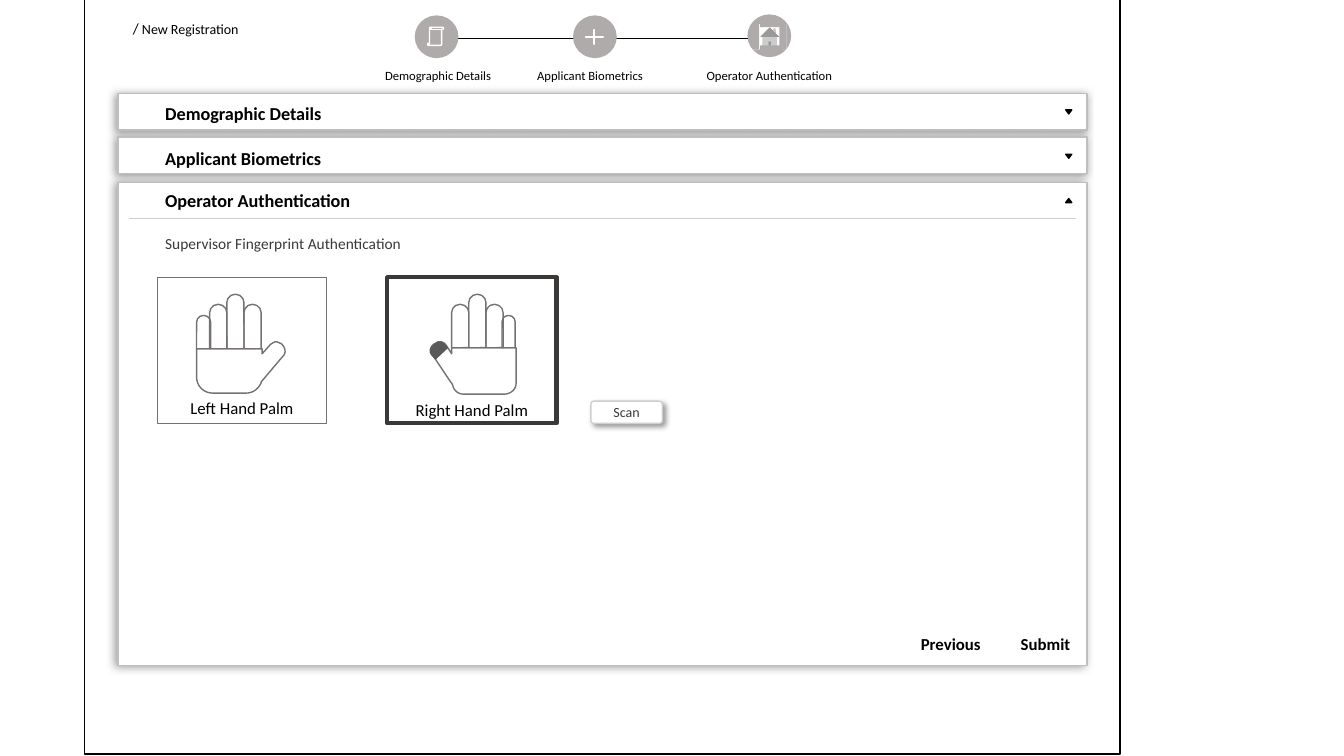
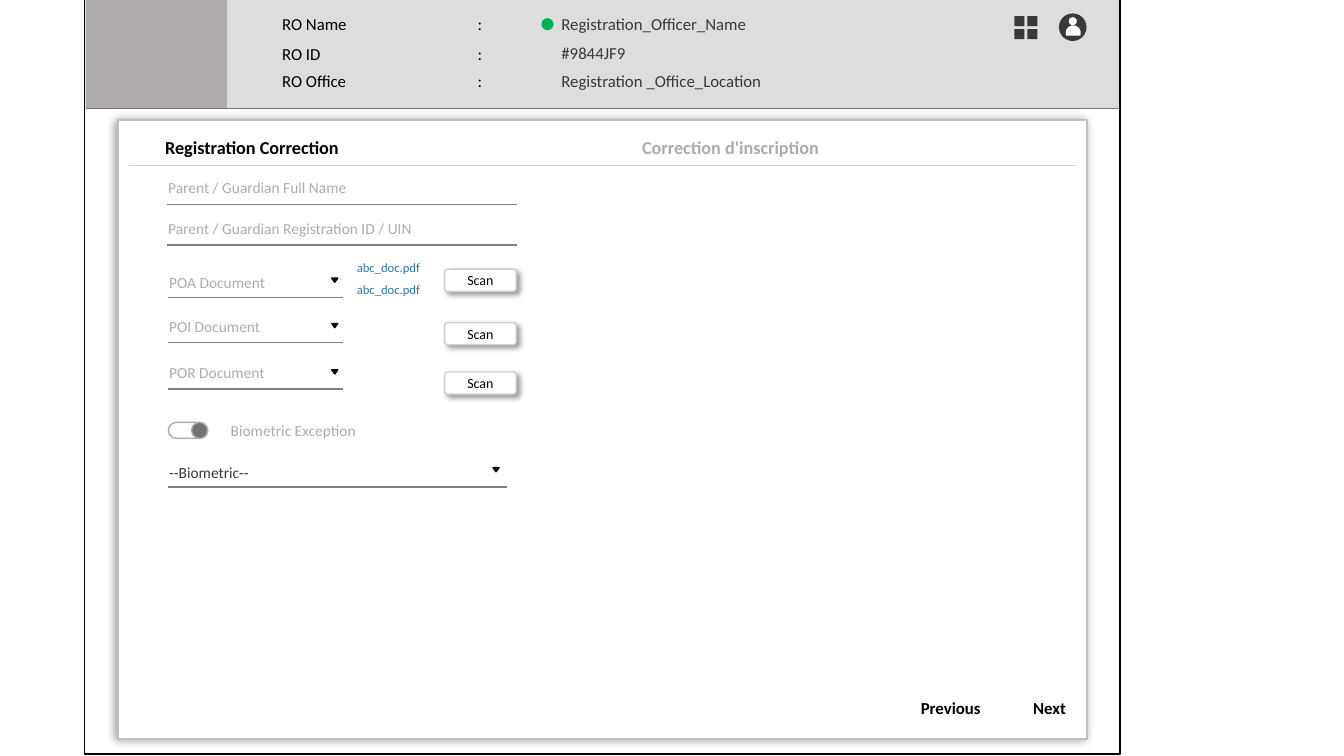
import pptx
import pptx.dml.color
import pptx.enum.shapes
import pptx.enum.text
import pptx.oxml.ns
import pptx.util
from lxml import etree

Inches = pptx.util.Inches
SHAPE = pptx.enum.shapes.MSO_SHAPE
ALIGN = pptx.enum.text.PP_ALIGN
qn = pptx.oxml.ns.qn

# Shared style
FONT = "Calibri"
BLACK, WHITE, INK = "000000", "FFFFFF", "3B3838"
GREY, DARK_GREY, RULE_GREY = "AFABAB", "767171", "D0CECE"
FIELD_GREY, BLUE, GREEN = "808080", "2E75B6", "00B050"
PANEL_SHADOW = ("808080", 80, 6, 2, 170)  # colour, opacity %, blur, distance, angle
BUTTON_SHADOW = (BLACK, 40, 4, 3, 45)
PANEL_LEFT, PANEL_WIDTH = 1.17, 9.61
TITLE_LEFT = 1.54

# Registration content: title, panel top, panel height, title top, arrow top, open
SECTIONS = [
    ("Demographic Details", 0.93, 0.36, 0.97, 1.09, False),
    ("Applicant Biometrics", 1.36, 0.36, 1.41, 1.53, False),
    ("Operator Authentication", 1.81, 4.79, 1.83, 1.97, True),
]
# Step label, label left, label width, circle left, circle top
STEPS = [
    ("Demographic Details", 3.72, 1.31, 4.12, 0.16),
    ("Applicant Biometrics", 5.23, 1.33, 5.69, 0.16),
    ("Operator Authentication", 6.91, 1.46, 7.42, 0.15),
]
STEP_SIZE = 0.42
# Sides of the home button covered so that only the house stays visible
HOME_COVERS = [(7.47, 0.24, 0.06, 0.25), (7.73, 0.24, 0.07, 0.25),
               (7.54, 0.45, 0.23, 0.05), (7.54, 0.22, 0.23, 0.05)]

# Fingers are (left, top, width); palm steps are line ends or cubic curves
HANDS = [
    dict(label="Left Hand Palm", left=1.56, label_top=3.9, border=(DARK_GREY, 1),
         knuckles=3.46,
         fingers=[(1.95, 3.13, 0.14), (2.08, 3.02, 0.17), (2.25, 2.92, 0.17), (2.42, 3.02, 0.17)],
         palm=[(2.73, 3.39), (2.75, 3.39, 2.77, 3.4, 2.79, 3.41), (2.8, 3.42),
               (2.83, 3.45, 2.84, 3.5, 2.81, 3.53), (2.59, 3.79), (2.59, 3.8),
               (2.56, 3.86, 2.51, 3.9, 2.44, 3.9), (2.11, 3.9),
               (2.02, 3.9, 1.95, 3.83, 1.95, 3.74), (1.95, 3.46), (2.6, 3.46),
               (2.6, 3.51), (2.68, 3.42), (2.69, 3.41, 2.71, 3.4, 2.73, 3.39)]),
    dict(label="Right Hand Palm", left=3.84, label_top=3.92, border=(INK, 3),
         knuckles=3.45, marked_thumb=(4.26, 3.41, 0.16, 0.11),
         fingers=[(4.48, 3.02, 0.17), (4.65, 2.92, 0.17), (4.82, 3.02, 0.17), (4.98, 3.13, 0.13)],
         palm=[(4.36, 3.39), (4.39, 3.39, 4.41, 3.4, 4.43, 3.43), (4.48, 3.51),
               (4.48, 3.45), (5.12, 3.45), (5.12, 3.8),
               (5.12, 3.86, 5.07, 3.91, 5, 3.91), (4.6, 3.91),
               (4.54, 3.91, 4.5, 3.87, 4.49, 3.82), (4.48, 3.8), (4.47, 3.79),
               (4.29, 3.52), (4.26, 3.48, 4.27, 3.43, 4.31, 3.41), (4.32, 3.41),
               (4.33, 3.4, 4.34, 3.39, 4.36, 3.39)]),
]

# Correction content
OFFICER = [  # label, label top, value, value top
    ("RO Name", 0.09, "Registration_Officer_Name", 0.09),
    ("RO ID", 0.38, "#9844JF9", 0.37),
    ("RO Office", 0.65, "Registration _Office_Location", 0.65),
]
CORRECTION_TITLES = [("Registration Correction", TITLE_LEFT, BLACK),
                     ("Correction d'inscription", 6.27, GREY)]
# Field text, text top, left, right, underline, arrow (left, top), colour
FIELDS = [
    ("Parent / Guardian Full Name", 1.72, 1.66, 5.13, 2.03, None, GREY),
    ("Parent / Guardian Registration ID / UIN", 2.12, 1.66, 5.13, 2.43, None, GREY),
    ("POA Document", 2.66, 1.67, 3.4, 2.95, (3.29, 2.76), GREY),
    ("POI Document", 3.1, 1.67, 3.4, 3.4, (3.29, 3.21), GREY),
    ("POR Document", 3.55, 1.67, 3.4, 3.86, (3.29, 3.67), GREY),
    ("--Biometric--", 4.54, 1.67, 5.03, 4.83, (4.89, 4.64), INK),
]
SCAN_TOPS = [2.67, 3.2, 3.69]
ATTACHMENTS = [("abc_doc.pdf", 2.53), ("abc_doc.pdf", 2.75)]


def rgb(colour):
    return pptx.dml.color.RGBColor.from_string(colour)


def style(shape, fill=None, line=None, shadow=None):
    if fill:
        shape.fill.solid()
        shape.fill.fore_color.rgb = rgb(fill)
    else:
        shape.fill.background()
    if line:
        shape.line.color.rgb = rgb(line[0])
        shape.line.width = pptx.util.Pt(line[1])
    else:
        shape.line.fill.background()
    shape.shadow.inherit = False
    if shadow:
        colour, opacity, blur, distance, angle = shadow
        effects = shape._element.spPr.find(qn("a:effectLst"))
        outer = etree.SubElement(
            effects, qn("a:outerShdw"), blurRad=str(pptx.util.Pt(blur)),
            dist=str(pptx.util.Pt(distance)), dir=str(angle * 60000),
            algn="ctr", rotWithShape="0")
        tint = etree.SubElement(outer, qn("a:srgbClr"), val=colour)
        etree.SubElement(tint, qn("a:alpha"), val=str(opacity * 1000))


def add_shape(shapes, kind, box, fill=None, line=None, shadow=None, adjust=(), rotation=0):
    shape = shapes.add_shape(kind, *map(Inches, box))
    for index, value in enumerate(adjust):
        shape.adjustments[index] = value
    shape.rotation = rotation
    style(shape, fill, line, shadow)
    return shape


def add_line(shapes, x1, y1, x2, y2, colour, width=0.5):
    line = shapes.add_connector(pptx.enum.shapes.MSO_CONNECTOR.STRAIGHT,
                                *map(Inches, (x1, y1, x2, y2)))
    line.line.color.rgb = rgb(colour)
    line.line.width = pptx.util.Pt(width)
    etree.SubElement(line._element.spPr, qn("a:effectLst"))


def set_font(paragraph, size, colour, bold=False):
    paragraph.font.name = FONT
    paragraph.font.size = pptx.util.Pt(size)
    paragraph.font.bold = bold
    paragraph.font.color.rgb = rgb(colour)


def add_text(shapes, text, box, size, colour=BLACK, bold=False, align=ALIGN.LEFT, tab=None):
    frame = shapes.add_textbox(*map(Inches, box)).text_frame
    frame.word_wrap = True
    paragraph = frame.paragraphs[0]
    paragraph.text = text
    paragraph.alignment = align
    if tab:
        stops = etree.SubElement(paragraph._p.get_or_add_pPr(), qn("a:tabLst"))
        etree.SubElement(stops, qn("a:tab"), pos=str(Inches(tab)), algn="l")
    set_font(paragraph, size, colour, bold)
    return paragraph


def add_panel(shapes, top, height):
    add_shape(shapes, SHAPE.ROUNDED_RECTANGLE, (PANEL_LEFT, top, PANEL_WIDTH, height),
              WHITE, ("BFBFBF", 1), PANEL_SHADOW, [0])


def add_page_frame(shapes):
    add_shape(shapes, SHAPE.RECTANGLE, (0.84, -0.02, 10.27, 7.5), line=(BLACK, 1))


def add_title(shapes, text, left, top, colour=BLACK):
    add_text(shapes, text, (left, top, 2.67, 0.32), 13, colour, True)


def add_title_rule(shapes, y):
    add_line(shapes, 1.28, y, 10.67, y, RULE_GREY)


def add_arrow(shapes, left, top, up=False):
    add_shape(shapes, SHAPE.ISOSCELES_TRIANGLE, (left, top, 0.06, 0.04), BLACK,
              (BLACK, 1), rotation=0 if up else 180)


def add_scan(shapes, left, top, colour):
    button = add_shape(shapes, SHAPE.ROUNDED_RECTANGLE, (left, top, 0.71, 0.22), WHITE,
                       (RULE_GREY, 1), BUTTON_SHADOW, [0.135])
    button.text_frame.vertical_anchor = pptx.enum.text.MSO_ANCHOR.MIDDLE
    paragraph = button.text_frame.paragraphs[0]
    paragraph.text = "Scan"
    paragraph.alignment = ALIGN.CENTER
    set_font(paragraph, 10, colour)


def add_navigation(shapes, top, forward, forward_centre):
    for label, centre in (("Previous", 9.43), (forward, forward_centre)):
        add_text(shapes, label, (centre - 0.5, top, 1, 0.3), 12, bold=True, align=ALIGN.CENTER)


def outline(steps, pieces=8):
    """Turn line ends and cubic curves into a list of points."""
    points = [steps[0]]
    for step in steps[1:]:
        if len(step) == 2:
            points.append(step)
            continue
        knots = [points[-1], step[:2], step[2:4], step[4:]]
        for piece in range(1, pieces + 1):
            t = piece / pieces
            weights = ((1 - t) ** 3, 3 * t * (1 - t) ** 2, 3 * t * t * (1 - t), t ** 3)
            points.append(tuple(sum(w * knot[axis] for w, knot in zip(weights, knots))
                                for axis in (0, 1)))
    return [(Inches(x), Inches(y)) for x, y in points]


def add_hand(shapes, hand):
    group = shapes.add_group_shape().shapes
    for left, top, width in hand["fingers"]:
        add_shape(group, SHAPE.ROUND_2_SAME_RECTANGLE,
                  (left, top, width, hand["knuckles"] - top),
                  line=(DARK_GREY, 1), adjust=[0.478, 0.033])
    start, *rest = outline(hand["palm"])
    builder = group.build_freeform(*start)
    builder.add_line_segments(rest, close=True)
    style(builder.convert_to_shape(), line=(DARK_GREY, 1))
    add_shape(group, SHAPE.FLOWCHART_PROCESS, (hand["left"], 2.75, 1.68, 1.45),
              line=hand["border"])
    add_text(group, hand["label"], (hand["left"], hand["label_top"], 1.68, 0.3), 12,
             align=ALIGN.CENTER)
    if "marked_thumb" in hand:
        add_shape(group, SHAPE.ROUND_2_SAME_RECTANGLE, hand["marked_thumb"], "595959",
                  ("595959", 1), adjust=[0.5, 0], rotation=317.1)


def add_steps(shapes):
    group = shapes.add_group_shape().shapes
    for (*_, left, _), (*_, next_left, _) in zip(STEPS, STEPS[1:]):
        add_line(group, left + STEP_SIZE, 0.38, next_left, 0.38, BLACK)
    for label, label_left, label_width, left, top in STEPS:
        add_shape(group, SHAPE.OVAL, (left, top, STEP_SIZE, 0.41), GREY, (GREY, 1))
        add_text(group, label, (label_left, 0.62, label_width, 0.25), 9)
    add_shape(group, SHAPE.VERTICAL_SCROLL, (4.24, 0.27, 0.16, 0.18), GREY, (WHITE, 1))
    add_shape(group, SHAPE.MATH_PLUS, (5.78, 0.27, 0.23, 0.19), WHITE, (WHITE, 1),
              adjust=[0.042])
    add_shape(group, SHAPE.ACTION_BUTTON_HOME, (7.47, 0.24, 0.33, 0.25), WHITE)
    for cover in HOME_COVERS:
        add_shape(group, SHAPE.RECTANGLE, cover, GREY)


def build_registration(shapes):
    # Sections
    for title, top, height, title_top, arrow_top, is_open in SECTIONS:
        add_panel(shapes, top, height)
        add_title(shapes, title, TITLE_LEFT, title_top)
        add_arrow(shapes, 10.57, arrow_top, is_open)
    add_page_frame(shapes)
    add_title_rule(shapes, 2.17)
    # Breadcrumb and progress
    breadcrumb = add_text(shapes, "/", (1.22, 0.14, 1.5, 0.3), 10)
    breadcrumb.runs[0].font.size = pptx.util.Pt(11)
    breadcrumb.add_run().text = " New Registration"
    add_steps(shapes)
    # Fingerprints
    add_text(shapes, "Supervisor Fingerprint Authentication", (TITLE_LEFT, 2.27, 2.8, 0.29),
             11, INK)
    for hand in HANDS:
        add_hand(shapes, hand)
    add_scan(shapes, 5.86, 3.98, INK)
    add_navigation(shapes, 6.24, "Submit", 10.37)


def add_officer_header(shapes):
    group = shapes.add_group_shape().shapes
    add_shape(group, SHAPE.RECTANGLE, (0.86, -0.01, 10.24, 1.09), "DDDDDD")
    add_shape(group, SHAPE.RECTANGLE, (0.85, -0.02, 1.4, 1.1), GREY)
    add_line(group, 0.85, 1.08, 11.12, 1.08, DARK_GREY)
    for label, label_top, value, value_top in OFFICER:
        add_text(group, label + "\t:", (2.7, label_top, 2.4, 0.3), 12, tab=1.94)
        add_text(group, value, (5.47, value_top, 2.4, 0.3), 12, INK)
    add_shape(group, SHAPE.OVAL, (5.37, 0.18, 0.12, 0.12), GREEN)
    # Menu tiles and user icon
    for top in (0.16, 0.29):
        for left in (10.06, 10.19):
            add_shape(group, SHAPE.RECTANGLE, (left, top, 0.1, 0.1), INK)
    add_shape(group, SHAPE.OVAL, (10.51, 0.14, 0.26, 0.26), INK, (INK, 1))
    add_shape(group, SHAPE.OVAL, (10.6, 0.17, 0.08, 0.08), WHITE)
    add_shape(group, SHAPE.CHORD, (10.57, 0.25, 0.15, 0.15), WHITE, rotation=111.5)


def build_correction(shapes):
    add_officer_header(shapes)
    add_panel(shapes, 1.19, 6.14)
    add_page_frame(shapes)
    for title, left, colour in CORRECTION_TITLES:
        add_title(shapes, title, left, 1.3, colour)
    add_title_rule(shapes, 1.64)
    # Form
    for text, top, left, right, underline, arrow, colour in FIELDS:
        add_text(shapes, text, (left - 0.09, top, 3, 0.29), 11, colour)
        add_line(shapes, left, underline, right, underline, FIELD_GREY, 1)
        if arrow:
            add_arrow(shapes, *arrow)
    for file_name, top in ATTACHMENTS:
        add_text(shapes, file_name, (3.44, top, 0.95, 0.25), 9, BLUE)
    for top in SCAN_TOPS:
        add_scan(shapes, 4.41, top, BLACK)
    # Toggle
    toggle = shapes.add_group_shape().shapes
    add_shape(toggle, SHAPE.ROUNDED_RECTANGLE, (1.67, 4.19, 0.39, 0.16), WHITE, (GREY, 1),
              adjust=[0.5])
    add_shape(toggle, SHAPE.OVAL, (1.9, 4.19, 0.16, 0.16), DARK_GREY, (GREY, 1))
    add_text(shapes, "Biometric Exception", (2.19, 4.13, 1.6, 0.29), 11, GREY)
    add_navigation(shapes, 6.87, "Next", 10.41)


def main():
    deck = pptx.Presentation()
    deck.slide_width, deck.slide_height = Inches(13.33), Inches(7.5)
    for build in (build_registration, build_correction):
        build(deck.slides.add_slide(deck.slide_layouts[6]).shapes)
    deck.save("out.pptx")


if __name__ == "__main__":
    main()
